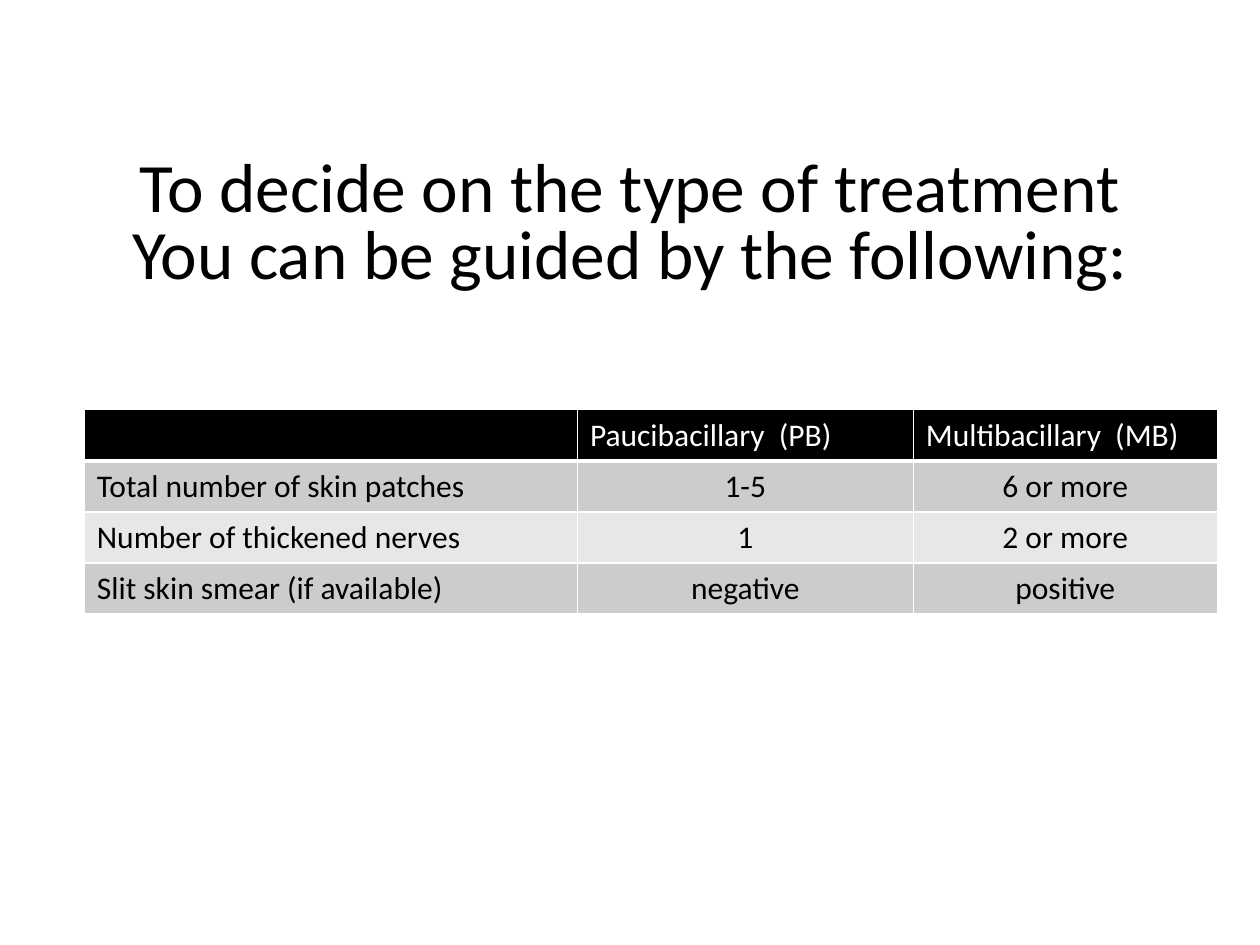
from lxml import etree
from pptx import Presentation
from pptx.dml.color import RGBColor
from pptx.enum.text import MSO_ANCHOR, MSO_AUTO_SIZE, PP_ALIGN
from pptx.oxml.ns import qn
from pptx.util import Cm, Pt

CENTER, LEFT = PP_ALIGN.CENTER, PP_ALIGN.LEFT
MIDDLE = MSO_ANCHOR.MIDDLE
NO_AUTOFIT = MSO_AUTO_SIZE.NONE
FONT = "Calibri"
BLACK, WHITE = "000000", "FFFFFF"
BANDS = ["CCCCCC", "E7E7E7"]


def add_text(para, text, size, color):
    span = para.add_run()
    span.text = text
    span.font.name = FONT
    span.font.size = Pt(size)
    span.font.color.rgb = RGBColor.from_string(color)


def add_border(cell, side, points):
    line = etree.SubElement(cell._tc.get_or_add_tcPr(), qn("a:" + side), w=str(Pt(points)))
    fill = etree.SubElement(line, qn("a:solidFill"))
    etree.SubElement(fill, qn("a:srgbClr"), val=WHITE)


deck = Presentation()
deck.slide_width, deck.slide_height = Cm(25.4), Cm(19.05)
page = deck.slides.add_slide(deck.slide_layouts[5])

# Title on two lines
title = page.shapes.title
title.left, title.top = Cm(1.27), Cm(2.97)
title.width, title.height = Cm(22.86), Cm(3.18)
frame = title.text_frame
frame.word_wrap = True
frame.auto_size = NO_AUTOFIT
frame.vertical_anchor = MIDDLE
para = frame.paragraphs[0]
para.alignment = CENTER
para.line_spacing = 0.8
add_text(para, "To decide on the type of treatment", 39.6, BLACK)
para.add_line_break()
add_text(para, "You can be guided by the following:", 39.6, BLACK)

# Comparison table
rows = [
    ["", "Paucibacillary  (PB)", "Multibacillary  (MB)"],
    ["Total number of skin patches", "1-5", "6 or more"],
    ["Number of thickened nerves", "1", "2 or more"],
    ["Slit skin smear (if available)", "negative", "positive"],
]
widths = [9.94, 6.77, 6.13]
row_height = 1.03
table = page.shapes.add_table(
    len(rows), len(widths), Cm(1.7), Cm(8.26), Cm(sum(widths)), Cm(row_height * len(rows))
).table
for column, width in zip(table.columns, widths):
    column.width = Cm(width)

for r, texts in enumerate(rows):
    table.rows[r].height = Cm(row_height)
    header = r == 0
    for c, text in enumerate(texts):
        cell = table.cell(r, c)
        for side in ("lnL", "lnR", "lnT", "lnB"):
            add_border(cell, side, 3 if header and side == "lnB" else 1)
        cell.fill.solid()
        cell.fill.fore_color.rgb = RGBColor.from_string(BLACK if header else BANDS[(r - 1) % 2])
        para = cell.text_frame.paragraphs[0]
        para.alignment = LEFT if header or c == 0 else CENTER
        if text:
            add_text(para, text, 18, WHITE if header else BLACK)
            para.runs[0].font.bold = False

deck.save("out.pptx")
